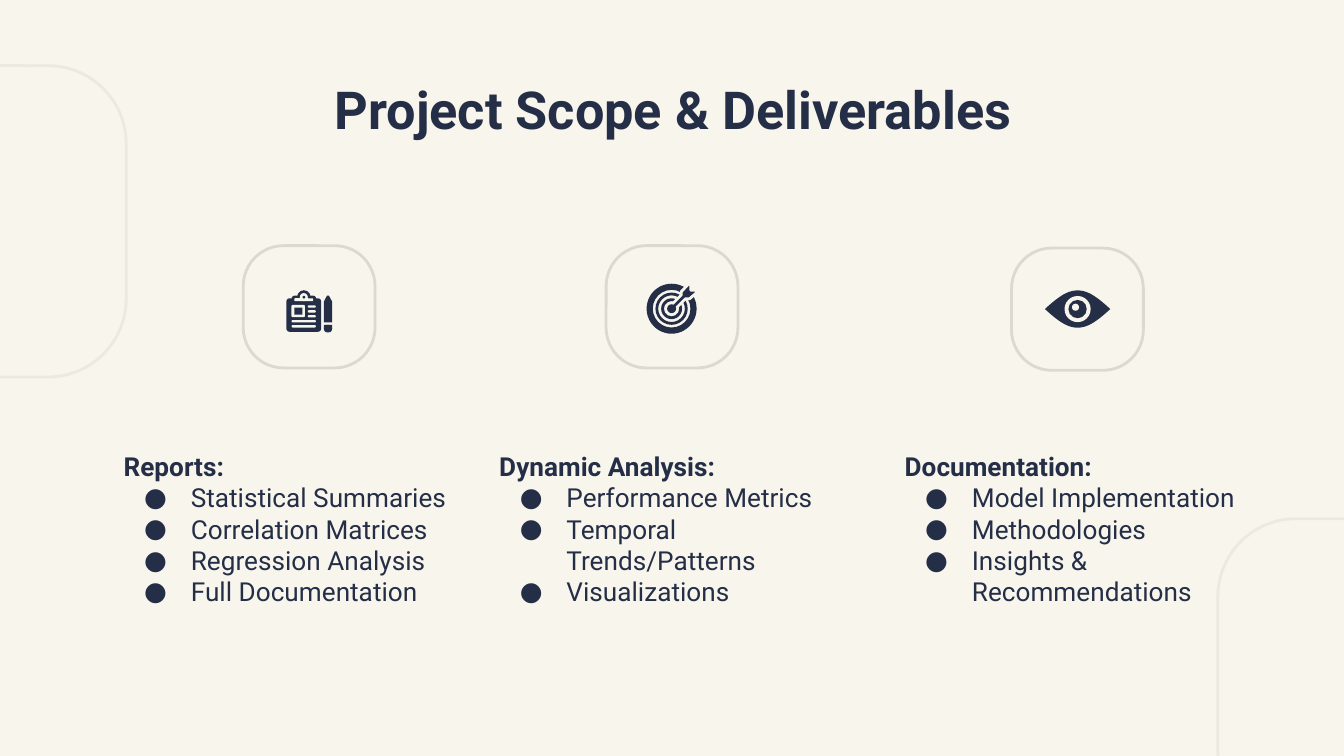
from math import pi, sin

from lxml.etree import SubElement
from pptx import Presentation
from pptx.dml.color import RGBColor
from pptx.enum.shapes import MSO_CONNECTOR, MSO_SHAPE
from pptx.enum.text import MSO_ANCHOR, PP_ALIGN
from pptx.oxml.ns import qn
from pptx.util import Pt

OVAL, ROUND, RING = MSO_SHAPE.OVAL, MSO_SHAPE.ROUNDED_RECTANGLE, MSO_SHAPE.DONUT


class Deck:
    """Holds the style and the current slide."""

    font = "Roboto"
    color = {"paper": "F8F5EC", "ink": "252E47", "frame": "DADACE", "edge": "ECE9E1"}

    def __init__(self):
        self.file = Presentation()
        self.file.slide_width, self.file.slide_height = Pt(720), Pt(405)
        self.slide = self.file.slides.add_slide(self.file.slide_layouts[6])
        self.shapes = self.slide.shapes
        fill = self.slide.background.fill
        fill.solid()
        fill.fore_color.rgb = self.rgb("paper")

    def rgb(self, name):
        return RGBColor.from_string(self.color[name])

    def paint(self, shape, fill=None, line=None):
        shape.shadow.inherit = False
        if fill:
            shape.fill.solid()
            shape.fill.fore_color.rgb = self.rgb(fill)
        else:
            shape.fill.background()
        if line:
            shape.line.color.rgb = self.rgb(line)
            shape.line.width = Pt(1.5)
        else:
            shape.line.fill.background()

    def shape(self, kind, x, y, w, h, fill=None, line=None, adj=None):
        shape = self.shapes.add_shape(kind, Pt(x), Pt(y), Pt(w), Pt(h))
        if adj is not None:
            shape.adjustments[0] = adj
        self.paint(shape, fill, line)

    def disc(self, x, y, size, fill="ink"):
        self.shape(OVAL, x - size / 2, y - size / 2, size, size, fill)

    def ring(self, x, y, size, band):
        self.shape(RING, x - size / 2, y - size / 2, size, size, "ink", adj=band / size)

    def outline(self, points, line=None):
        first, *rest = [(Pt(x), Pt(y)) for x, y in points]
        path = self.shapes.build_freeform(*first)
        path.add_line_segments(rest)
        self.paint(path.convert_to_shape(), "ink", line)

    def line(self, x1, y1, x2, y2, width, name):
        line = self.shapes.add_connector(MSO_CONNECTOR.STRAIGHT, Pt(x1), Pt(y1), Pt(x2), Pt(y2))
        line.line.color.rgb = self.rgb(name)
        line.line.width = Pt(width)
        SubElement(line._element.spPr, qn("a:effectLst"))

    def text(self, x, y, w, h, rows, size, align=PP_ALIGN.LEFT):
        frame = self.shapes.add_textbox(Pt(x), Pt(y), Pt(w), Pt(h)).text_frame
        frame.word_wrap = True
        frame.vertical_anchor = MSO_ANCHOR.MIDDLE
        frame.margin_left = frame.margin_right = Pt(7.2)
        frame.margin_top = frame.margin_bottom = Pt(7.2)
        frame.text = "\n".join(rows)
        for i, para in enumerate(frame.paragraphs):
            para.alignment = align
            font = para.runs[0].font
            font.name, font.size, font.bold = self.font, Pt(size), i == 0
            font.color.rgb = self.rgb("ink")
            if i:
                self.bullet(para)

    def bullet(self, para):
        props = para._p.get_or_add_pPr()
        props.set("marL", str(Pt(36)))
        props.set("indent", str(-Pt(25)))
        tint = SubElement(props, qn("a:buClr"))
        SubElement(tint, qn("a:srgbClr"), val=self.color["ink"])
        SubElement(props, qn("a:buFont"), typeface=self.font)
        SubElement(props, qn("a:buChar"), char="●")

    def report(self):
        self.shape(ROUND, 153.4, 159.8, 18.7, 18, "ink", adj=0.1)
        self.shape(ROUND, 156.2, 158.4, 13.2, 4, "ink", adj=0.4)
        self.disc(162.8, 159.1, 7.2)
        self.shape(ROUND, 157.7, 159.8, 10.1, 1.5, "paper", adj=0.3)
        self.disc(162.8, 159.2, 4.3, "paper")
        self.disc(162.8, 159.2, 1.5)
        self.shape(ROUND, 156.2, 163.4, 7.2, 6.5, "paper", adj=0.1)
        self.shape(MSO_SHAPE.RECTANGLE, 157.7, 164.8, 4.3, 3.8, "ink")
        for row in range(3):
            self.shape(ROUND, 164.9, 163.6 + 2.6 * row, 4.3, 1.3, "paper", adj=0.5)
        for row in range(2):
            self.shape(ROUND, 156.2, 171.5 + 2.7 * row, 13, 1.3, "paper", adj=0.5)
        self.outline([(175.2, 158.4), (176.2, 158.4), (177.9, 161.6), (177.9, 172.7),
                      (173.5, 172.7), (173.5, 161.6), (175.2, 158.4)])
        self.shape(MSO_SHAPE.ROUND_2_SAME_RECTANGLE, 173.5, 174, 4.4, 2, "ink", adj=0)
        self.shape(ROUND, 173.5, 174, 4.4, 4.1, "ink", adj=0.45)

    def target(self):
        x, y = 359.8, 165.4
        for size, band in ((26.8, 3.3), (17.3, 1.5), (11.2, 1.5)):
            self.ring(x, y, size, band)
        self.line(x, y, 368, 157.2, 4.5, "paper")
        self.disc(x, y, 4.8)
        self.outline([(365, 156.2), (368.8, 152.3), (370.1, 152.3), (370.1, 155.5), (373.2, 155.5),
                      (373.2, 156.8), (369.4, 160.1), (365, 160.1), (365, 156.2)], "paper")
        self.line(x, y, 367, 158.2, 1.5, "ink")

    def eye(self):
        x, y, w, h, n = 577.3, 165.6, 17.5, 10, 24
        self.outline([(x - w * (1 - 2 * abs(1 - i / n)), y - h * sin(pi * i / n))
                      for i in range(2 * n + 1)])
        self.disc(x, y, 14, "paper")
        self.disc(x, y, 9.8)
        self.disc(576.2, 164.6, 3.8, "paper")


def main():
    deck = Deck()
    for x, y in ((-72, 35.2), (652.4, 277.9)):
        deck.shape(ROUND, x, y, 139.6, 166.8, line="edge", adj=0.3)
    deck.text(57, 35.3, 607, 45.4, ["Project Scope & Deliverables"], 28, PP_ALIGN.CENTER)
    parts = (
        (130.3, 131.6, deck.report, 59.2,
         ["Reports:", "Statistical Summaries", "Correlation Matrices",
          "Regression Analysis", "Full Documentation"]),
        (324.7, 131.6, deck.target, 260.4,
         ["Dynamic Analysis:", "Performance Metrics", "Temporal Trends/Patterns",
          "Visualizations"]),
        (541.9, 132.9, deck.eye, 477.6,
         ["Documentation:", "Model Implementation", "Methodologies",
          "Insights & Recommendations"]),
    )
    for x, y, icon, left, rows in parts:
        deck.shape(ROUND, x, y, 70.6, 65.5, line="frame", adj=0.33)
        icon()
        deck.text(left, 230.4, 199.4, 105.8, rows, 14)
    deck.file.save("out.pptx")


if __name__ == "__main__":
    main()
